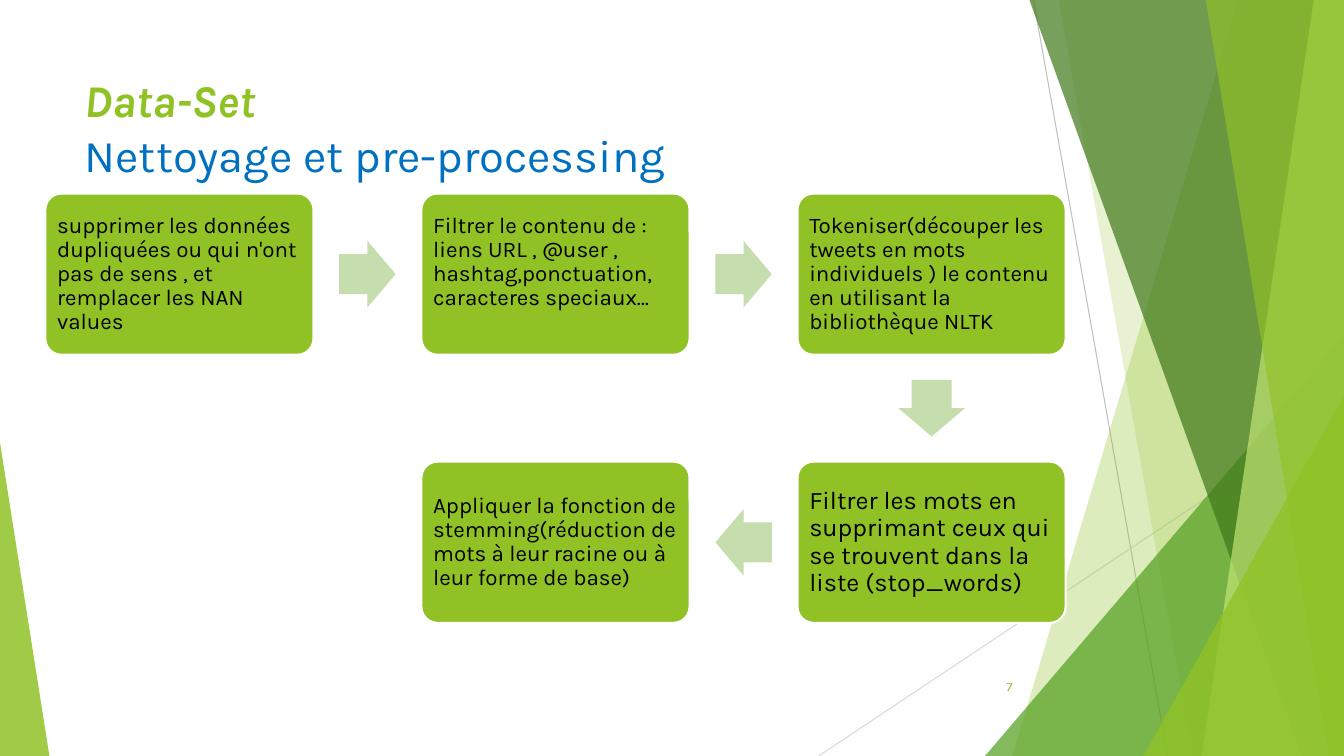
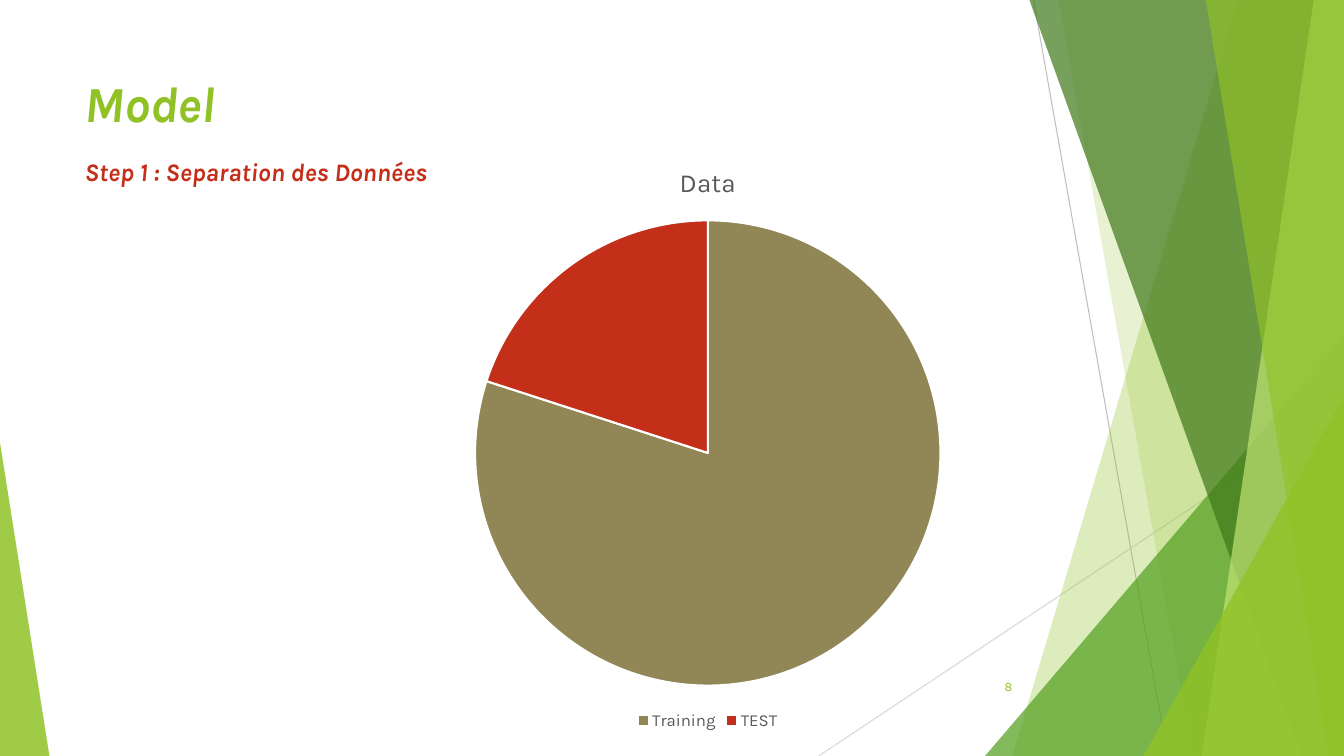
from math import atan2, degrees

from lxml import etree
from pptx import Presentation
from pptx.chart.data import CategoryChartData
from pptx.dml.color import RGBColor
from pptx.enum.chart import XL_CHART_TYPE, XL_LEGEND_POSITION
from pptx.enum.shapes import MSO_CONNECTOR, MSO_SHAPE
from pptx.enum.text import MSO_ANCHOR, MSO_AUTO_SIZE, PP_ALIGN
from pptx.oxml import parse_xml
from pptx.oxml.ns import nsdecls, qn
from pptx.util import Inches, Pt

PIE, BOTTOM = XL_CHART_TYPE.PIE, XL_LEGEND_POSITION.BOTTOM
STRAIGHT = MSO_CONNECTOR.STRAIGHT
TRIANGLE, ARROW = MSO_SHAPE.ISOSCELES_TRIANGLE, MSO_SHAPE.RIGHT_ARROW
ROUNDED = MSO_SHAPE.ROUNDED_RECTANGLE
TOP, MIDDLE = MSO_ANCHOR.TOP, MSO_ANCHOR.MIDDLE
LEFT, RIGHT = PP_ALIGN.LEFT, PP_ALIGN.RIGHT
NO_FIT = MSO_AUTO_SIZE.NONE

FONT = "Karla"
WIDTH, HEIGHT = 13.33, 7.5
TITLE_ONLY, TITLE_BODY = 5, 1
COLORS = {
    "green": "90C226", "leaf": "54A021", "forest": "3F7819", "lime": "C0E474",
    "pale": "C6DDAD", "blue": "0070C0", "red": "C42F1A", "olive": "918655",
    "black": "000000", "gray": "595959", "silver": "BFBFBF", "mist": "D9D9D9",
    "white": "FFFFFF",
}


def rgb(name):
    return RGBColor.from_string(COLORS[name])


def set_font(font, size, color, bold=False, italic=False):
    font.name, font.size = FONT, Pt(size)
    font.color.rgb = rgb(color)
    font.bold, font.italic = bold, italic


def add_text(p, text, **fmt):
    r = p.add_run()
    r.text = text
    set_font(r.font, **fmt)


class Deck:
    BOX_W, BOX_H = 2.66, 1.6
    ARROW_W, ARROW_H = 0.56, 0.66

    def __init__(self):
        self.prs = Presentation()
        self.prs.slide_width, self.prs.slide_height = Inches(WIDTH), Inches(HEIGHT)
        self.s = None

    def new_slide(self, layout, number):
        first = self.s is None
        self.s = self.prs.slides.add_slide(self.prs.slide_layouts[layout])
        if first:
            self.backdrop()
        self.page_number(number)

    def paint(self, sp, color, opacity=100, line=None):
        sp.shadow.inherit = False
        sp.fill.solid()
        sp.fill.fore_color.rgb = rgb(color)
        if opacity < 100:
            clr = next(sp.element.iter(qn("a:srgbClr")))
            etree.SubElement(clr, qn("a:alpha")).set("val", str(opacity * 1000))
        if line:
            sp.line.color.rgb = rgb(line)
            sp.line.width = Pt(1.5)
        else:
            sp.line.fill.background()

    def backdrop(self):
        """Draw the shared facets and hand them to the slide master."""
        group = self.s.shapes.add_group_shape()

        def line(x1, y1, x2, y2, color):
            c = group.shapes.add_connector(
                STRAIGHT, Inches(x1), Inches(y1), Inches(x2), Inches(y2))
            c.line.color.rgb = rgb(color)
            c.line.width = Pt(0.75)
            etree.SubElement(c.element.spPr, qn("a:effectLst"))

        def band(top_x, bottom_x, color, opacity):
            corners = [(top_x, 0), (WIDTH, 0), (WIDTH, HEIGHT), (bottom_x, HEIGHT)]
            points = [(Inches(x), Inches(y)) for x, y in corners]
            fb = group.shapes.build_freeform(*points[0])
            fb.add_line_segments(points[1:], close=True)
            self.paint(fb.convert_to_shape(), color, opacity)

        def corner(x, y, w, peak, color, opacity):
            sp = group.shapes.add_shape(
                TRIANGLE, Inches(x), Inches(y), Inches(w), Inches(HEIGHT - y))
            sp.adjustments[0] = peak
            self.paint(sp, color, opacity)

        line(10.25, 0, 11.58, HEIGHT, "silver")
        line(WIDTH, 4.03, 8.12, HEIGHT, "mist")
        band(12.28, 10.04, "green", 30)
        band(10.5, 11.83, "green", 20)
        corner(9.77, 3.33, 3.56, 1, "leaf", 72)
        band(10.21, 12.91, "forest", 70)
        band(13.03, 11.92, "lime", 70)
        band(11.96, 13.18, "green", 65)
        corner(11.34, 3.93, 1.99, 1, "green", 80)
        corner(0, 4.39, 0.49, 0, "green", 85)

        # Ids must stay unique among the master's own shapes
        for i, props in enumerate(group.element.iter(qn("p:cNvPr")), 100):
            props.set("id", str(i))
        self.prs.slide_master.shapes.element.insert(2, group.element)

    def place(self, sp, x, y, w, h, anchor=TOP, align=LEFT):
        """Position a text shape and return its first paragraph."""
        sp.left, sp.top, sp.width, sp.height = map(Inches, (x, y, w, h))
        tf = sp.text_frame
        tf.word_wrap, tf.auto_size, tf.vertical_anchor = True, NO_FIT, anchor
        tf.paragraphs[0].alignment = align
        return tf.paragraphs[0]

    def title(self, text, size, h, subtitle=None):
        p = self.place(self.s.shapes.title, 0.74, 0.67, 9.4, h)
        add_text(p, text, size=size, color="green", bold=True, italic=True)
        if subtitle:
            p.add_line_break()
            add_text(p, subtitle, size=size, color="blue")

    def body(self, text):
        p = self.place(self.s.placeholders[1], 0.74, 1.5, 9.4, 5.1)
        p.space_before = Pt(10)
        pPr = p._p.get_or_add_pPr()
        pPr.set("marL", "0")
        pPr.set("indent", "0")
        etree.SubElement(pPr, qn("a:buNone"))
        add_text(p, text, size=18, color="red", bold=True, italic=True)

    def page_number(self, number):
        sp = self.s.shapes.add_textbox(0, 0, 0, 0)
        p = self.place(sp, 9.39, 6.61, 0.75, 0.4, MIDDLE, RIGHT)
        add_text(p, str(number), size=9, color="green")

    def step(self, x, y, text, size=16, bottom=0.07):
        sp = self.s.shapes.add_shape(ROUNDED, 0, 0, 0, 0)
        sp.adjustments[0] = 0.1
        self.paint(sp, "green", line="white")
        p = self.place(sp, x, y, self.BOX_W, self.BOX_H, MIDDLE)
        p.line_spacing = 0.9
        tf = sp.text_frame
        tf.margin_left = tf.margin_right = tf.margin_top = Inches(0.07)
        tf.margin_bottom = Inches(bottom)
        add_text(p, text, size=size, color="black")

    def arrow(self, start, end):
        """Put a block arrow between two steps, pointing to the second."""
        (x1, y1), (x2, y2) = start, end
        x = (x1 + x2 + self.BOX_W - self.ARROW_W) / 2
        y = (y1 + y2 + self.BOX_H - self.ARROW_H) / 2
        sp = self.s.shapes.add_shape(ARROW, Inches(x), Inches(y),
                                     Inches(self.ARROW_W), Inches(self.ARROW_H))
        sp.adjustments[0], sp.adjustments[1] = 0.6, 0.5
        sp.rotation = degrees(atan2(y2 - y1, x2 - x1))
        self.paint(sp, "pale")

    def pie(self, x, y, w, h, name, slices):
        data = CategoryChartData()
        data.categories = [label for label, _, _ in slices]
        data.add_series(name, [value for _, value, _ in slices])
        chart = self.s.shapes.add_chart(
            PIE, Inches(x), Inches(y), Inches(w), Inches(h), data).chart
        set_font(chart.font, 10, "black")
        chart.element.find(qn("c:txPr")).addprevious(parse_xml(
            f'<c:spPr {nsdecls("c", "a")}><a:noFill/><a:ln><a:noFill/></a:ln></c:spPr>'))
        chart.has_title = True
        add_text(chart.chart_title.text_frame.paragraphs[0], name,
                 size=18.6, color="gray")
        chart.has_legend = True
        chart.legend.position = BOTTOM
        chart.legend.include_in_layout = False
        set_font(chart.legend.font, 12, "gray")
        plot = chart.plots[0]
        plot.vary_by_categories = True
        for i, (_, _, color) in enumerate(slices):
            fmt = plot.series[0].points[i].format
            fmt.fill.solid()
            fmt.fill.fore_color.rgb = rgb(color)
            fmt.line.color.rgb = rgb("white")
            fmt.line.width = Pt(1.5)


def main():
    deck = Deck()

    # Cleaning steps, snaking through a grid of three columns
    deck.new_slide(TITLE_ONLY, 7)
    deck.title("Data-Set", 32.4, 0.75, subtitle="Nettoyage et pre-processing")
    steps = [
        (0, 0, "supprimer les données dupliquées ou qui n'ont pas de sens , "
               "et remplacer les NAN values", {}),
        (1, 0, "Filtrer le contenu de : liens URL , @user , "
               "hashtag,ponctuation, caracteres speciaux…", {"bottom": 0.31}),
        (2, 0, "Tokeniser(découper les tweets en mots individuels ) le contenu "
               "en utilisant la bibliothèque NLTK", {}),
        (2, 1, "Filtrer les mots en supprimant ceux qui se trouvent dans la "
               "liste (stop_words)", {"size": 18}),
        (1, 1, "Appliquer la fonction de stemming(réduction de mots à leur "
               "racine ou à leur forme de base)", {}),
    ]
    spots = [(0.45 + 3.73 * col, 1.92 + 2.66 * row) for col, row, _, _ in steps]
    for (x, y), (_, _, text, options) in zip(spots, steps):
        deck.step(x, y, text, **options)
    for start, end in zip(spots, spots[1:]):
        deck.arrow(start, end)

    # Split of the data
    deck.new_slide(TITLE_BODY, 8)
    deck.title("Model", 36, 1.44)
    deck.body("Step 1 : Separation des Données")
    deck.pie(2.99, 1.42, 8.06, 5.87, "Data",
             [("Training", 80, "olive"), ("TEST", 20, "red")])

    deck.prs.save("out.pptx")


if __name__ == "__main__":
    main()
